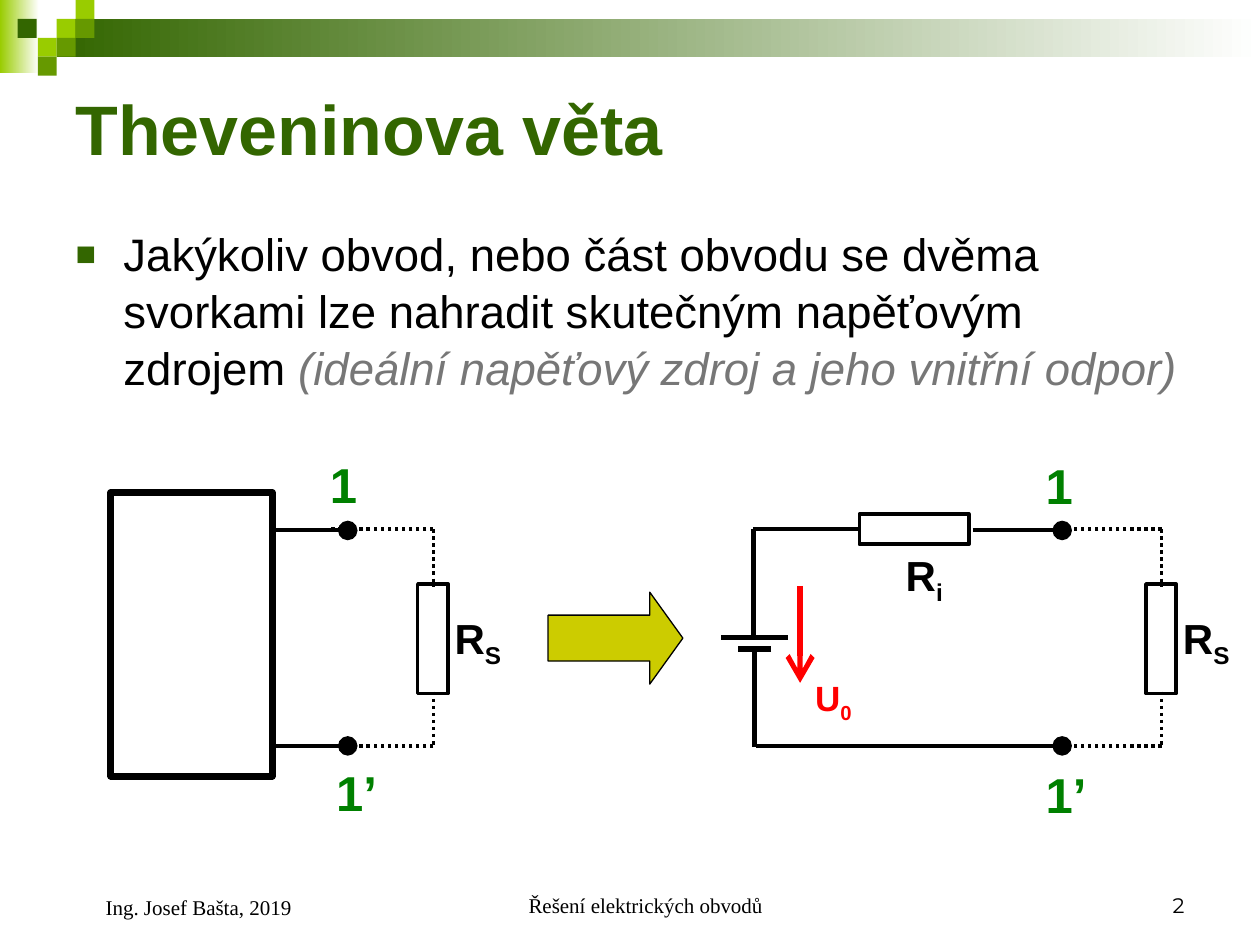
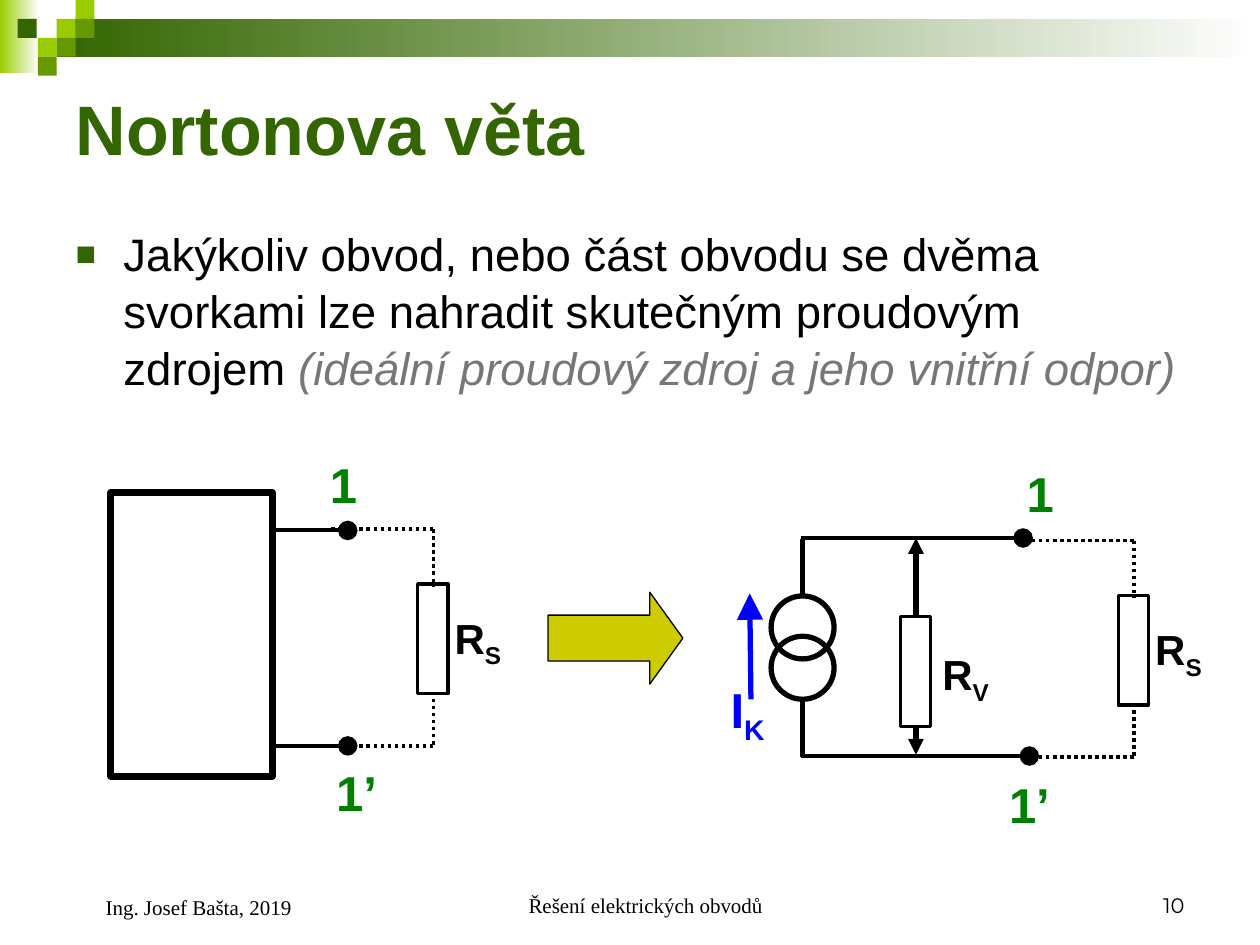
from dataclasses import dataclass

from lxml import etree
from pptx import Presentation
from pptx import util as u
from pptx.dml.color import RGBColor
from pptx.enum import dml, shapes, text
from pptx.oxml import ns

PX = 9144  # EMU in one px, 100 px to the inch

BLACK = RGBColor(0x00, 0x00, 0x00)
WHITE = RGBColor(0xFF, 0xFF, 0xFF)
GREY = RGBColor(0x77, 0x77, 0x77)
DARK_GREEN = RGBColor(0x33, 0x66, 0x00)
MID_GREEN = RGBColor(0x66, 0x99, 0x00)
LIME = RGBColor(0x99, 0xCC, 0x00)
TERMINAL_GREEN = RGBColor(0x00, 0x80, 0x00)
OLIVE = RGBColor(0xCC, 0xCC, 0x00)
RED = RGBColor(0xFF, 0x00, 0x00)
BLUE = RGBColor(0x00, 0x00, 0xFF)

RECTANGLE = shapes.MSO_SHAPE.RECTANGLE
ELLIPSE = shapes.MSO_SHAPE.OVAL
DOTTED = dml.MSO_LINE.ROUND_DOT


@dataclass(frozen=True)
class Box:
    left: int
    top: int
    width: int
    height: int

    def emu(self) -> tuple[int, ...]:
        return tuple(v * PX for v in (self.left, self.top, self.width, self.height))


@dataclass(frozen=True)
class Wire:
    """A straight line; tail is the end mark (kind, size) at (x2, y2)."""
    x1: int
    y1: int
    x2: int
    y2: int
    width: float = 3
    color: RGBColor = BLACK
    dash: dml.MSO_LINE | None = None
    tail: tuple[str, str] | None = None


@dataclass(frozen=True)
class Label:
    text: str
    subscript: str
    box: Box
    size: int = 24
    color: RGBColor = BLACK


@dataclass(frozen=True)
class Outline:
    box: Box
    kind: shapes.MSO_SHAPE = RECTANGLE
    width: float = 2
    rotation: int = 0


DOT = ("oval", "lg")
RESISTOR_LENGTH, RESISTOR_THICKNESS = 87, 24

TITLE_BOX = Box(50, 50, 900, 103)
BODY_BOX = Box(50, 173, 900, 165)
SQUARE = 15
SQUARES = (
    (45, 15, LIME), (60, 0, LIME), (60, 15, MID_GREEN), (30, 30, LIME),
    (14, 15, DARK_GREEN), (45, 30, MID_GREEN), (30, 45, MID_GREEN),
)
BANDS = ((Box(0, 0, 31, 58), LIME), (Box(45, 15, 955, 30), DARK_GREEN))


def add_run(paragraph, content: str, *, size: int, color: RGBColor = BLACK,
            font: str = "Arial", bold: bool = False, italic: bool = False,
            subscript: bool = False) -> None:
    run = paragraph.add_run()
    run.text = content
    run.font.size = u.Pt(size)
    run.font.name = font
    run.font.bold = bold
    run.font.italic = italic
    run.font.color.rgb = color
    if subscript:
        run._r.get_or_add_rPr().set("baseline", "-25000")


def add_text_box(slide, box: Box, anchor=text.MSO_ANCHOR.TOP):
    """Add an empty wrapping text box and return its first paragraph."""
    frame = slide.shapes.add_textbox(*box.emu()).text_frame
    frame.word_wrap = True
    frame.vertical_anchor = anchor
    return frame.paragraphs[0]


def add_figure(slide, kind: shapes.MSO_SHAPE, box: Box, fill: RGBColor | None = None,
               line_width: float = 0):
    shape = slide.shapes.add_shape(kind, *box.emu())
    shape.shadow.inherit = False
    if fill is None:
        shape.fill.background()
    else:
        shape.fill.solid()
        shape.fill.fore_color.rgb = fill
    if line_width:
        shape.line.color.rgb = BLACK
        shape.line.width = u.Pt(line_width)
    else:
        shape.line.fill.background()
    return shape


def draw_wire(slide, wire: Wire) -> None:
    ends = (v * PX for v in (wire.x1, wire.y1, wire.x2, wire.y2))
    connector = slide.shapes.add_connector(shapes.MSO_CONNECTOR.STRAIGHT, *ends)
    connector.line.color.rgb = wire.color
    connector.line.width = u.Pt(wire.width)
    if wire.dash is not None:
        connector.line.dash_style = wire.dash
    properties = connector.element.spPr
    if wire.tail:
        kind, size = wire.tail
        etree.SubElement(properties.find(ns.qn("a:ln")), ns.qn("a:tailEnd"),
                         type=kind, w=size, len=size)
    etree.SubElement(properties, ns.qn("a:effectLst"))


def draw_label(slide, label: Label) -> None:
    paragraph = add_text_box(slide, label.box)
    add_run(paragraph, label.text, size=label.size, color=label.color, bold=True)
    if label.subscript:
        add_run(paragraph, label.subscript, size=label.size, color=label.color,
                bold=True, subscript=True)


def draw_outline(slide, outline: Outline) -> None:
    shape = add_figure(slide, outline.kind, outline.box, line_width=outline.width)
    shape.rotation = outline.rotation


def draw_parts(slide, parts) -> None:
    draw = {Wire: draw_wire, Label: draw_label, Outline: draw_outline}
    for part in parts:
        draw[type(part)](slide, part)


def upright_resistor(left: int, top: int) -> Outline:
    return Outline(Box(left, top, RESISTOR_LENGTH, RESISTOR_THICKNESS), rotation=90)


def terminal(name: str, left: int, top: int, width: int) -> Label:
    return Label(name, "", Box(left, top, width, 57), 28, TERMINAL_GREEN)


def load_branch(x: int, top: int) -> list:
    """Dotted branch with the load resistor RS, its vertical line at x."""
    bottom = top + 172
    dotted = ((x, top, x - 82, top), (x, bottom, x - 82, bottom),
              (x, top, x, top + 45), (x, top + 129, x, bottom))
    return [
        upright_resistor(x - 44, top + 75),
        Label("R", "S", Box(x + 7, top + 61, 71, 56)),
        *(Wire(*ends, width=2, dash=DOTTED) for ends in dotted),
    ]


GENERAL_CIRCUIT = [
    Outline(Box(88, 391, 128, 225), width=4),
    Wire(214, 592, 276, 592, 2.25, tail=DOT),
    Wire(217, 421, 276, 421, 2.25, tail=DOT),
    terminal("1", 252, 356, 53),
    terminal("1’", 257, 600, 57),
    *load_branch(344, 420),
]

VOLTAGE_SOURCE = [
    Wire(599, 593, 599, 514),
    Wire(598, 506, 598, 420),
    Wire(635, 465, 635, 542, color=RED, tail=("arrow", "lg")),
    Label("U", "0", Box(637, 532, 62, 48), 20, RED),
    Wire(625, 506, 572, 506),
    Wire(612, 515, 586, 515),
    Outline(Box(682, 408, RESISTOR_LENGTH, RESISTOR_THICKNESS)),
    Wire(681, 420, 598, 420, 2),
    Wire(600, 592, 843, 592, 2.25, tail=DOT),
    Wire(772, 421, 843, 421, 2.25, tail=DOT),
    Label("R", "i", Box(709, 431, 70, 56)),
    terminal("1", 820, 357, 52),
    terminal("1’", 820, 602, 55),
    *load_branch(922, 420),
]

CURRENT_SOURCE = [
    Label("R", "V", Box(738, 510, 71, 56)),
    Wire(727, 575, 727, 599, tail=("triangle", "med")),
    upright_resistor(683, 521),
    Wire(636, 600, 817, 600, 2.25, tail=DOT),
    *load_branch(900, 429),
    *(Outline(Box(612, top, 50, 50), ELLIPSE, 3) for top in (473, 505)),
    Wire(637, 601, 637, 553),
    Wire(637, 473, 637, 428),
    Wire(636, 427, 812, 427, 2.25, tail=DOT),
    Wire(727, 489, 727, 427, tail=("triangle", "med")),
    terminal("1", 805, 363, 68),
    terminal("1’", 791, 610, 55),
    Wire(596, 555, 595, 471, color=BLUE, tail=("triangle", "lg")),
    Label("I", "K", Box(570, 534, 68, 63), 28, BLUE),
]


def move_to(shape, box: Box) -> None:
    shape.left, shape.top, shape.width, shape.height = box.emu()


def fill_title(slide, title: str) -> None:
    shape = slide.shapes.title
    move_to(shape, TITLE_BOX)
    frame = shape.text_frame
    frame.auto_size = text.MSO_AUTO_SIZE.NONE
    frame.vertical_anchor = text.MSO_ANCHOR.MIDDLE
    paragraph = frame.paragraphs[0]
    paragraph.alignment = text.PP_ALIGN.LEFT
    add_run(paragraph, title, size=40, color=DARK_GREEN, bold=True)


def fill_body(slide, kind: str) -> None:
    """State the theorem for a source of the given kind (stem of the adjective)."""
    shape = slide.placeholders[1]
    move_to(shape, BODY_BOX)
    shape.text_frame.auto_size = text.MSO_AUTO_SIZE.NONE
    paragraph = shape.text_frame.paragraphs[0]
    properties = paragraph._p.get_or_add_pPr()
    properties.set("marL", str(38 * PX))
    properties.set("indent", str(-38 * PX))
    bullet_color = etree.SubElement(properties, ns.qn("a:buClr"))
    etree.SubElement(bullet_color, ns.qn("a:srgbClr"), val=str(DARK_GREEN))
    etree.SubElement(properties, ns.qn("a:buSzPct"), val="75000")
    etree.SubElement(properties, ns.qn("a:buFont"), typeface="Arial")
    etree.SubElement(properties, ns.qn("a:buChar"), char="■")
    paragraph.space_before = u.Pt(0)
    paragraph.line_spacing = 1.04
    add_run(paragraph, "Jakýkoliv obvod, nebo část obvodu se dvěma svorkami lze "
            f"nahradit skutečným {kind}ovým zdrojem ", size=26)
    add_run(paragraph, f"(ideální {kind}ový zdroj a jeho vnitřní odpor)",
            size=26, color=GREY, italic=True)


def add_footers(slide, number: int) -> None:
    serif = "Times New Roman"
    align = text.PP_ALIGN
    footers = (
        ("Řešení elektrických obvodů", Box(342, 683, 317, 50), align.CENTER, serif, 24),
        (str(number), Box(717, 683, 233, 50), align.RIGHT, "Montserrat", 0),
        ("Ing. Josef Bašta, 2019", Box(50, 683, 233, 52), align.LEFT, serif, 24),
    )
    for content, box, alignment, font, indent in footers:
        paragraph = add_text_box(slide, box, text.MSO_ANCHOR.BOTTOM)
        paragraph.alignment = alignment
        paragraph._p.get_or_add_pPr().set("marL", str(indent * PX))
        add_run(paragraph, content, size=12, font=font)


def decorate_master(slide) -> None:
    """Draw the bands and squares, then hand them to the slide master."""
    decorations = []
    for box, color in BANDS:
        band = add_figure(slide, RECTANGLE, box)
        band.fill.gradient()
        band.fill.gradient_angle = 0
        for stop, stop_color in zip(band.fill.gradient_stops, (color, WHITE)):
            stop.color.rgb = stop_color
        decorations.append(band)
    for left, top, color in SQUARES:
        decorations.append(add_figure(slide, RECTANGLE, Box(left, top, SQUARE, SQUARE), color))
    master = slide.slide_layout.slide_master
    for shape in decorations:
        master.shapes.element.append(shape.element)


def add_theorem_slide(presentation, title: str, kind: str, number: int, source: list):
    slide = presentation.slides.add_slide(presentation.slide_layouts[1])
    fill_title(slide, title)
    fill_body(slide, kind)
    arrow = add_figure(slide, shapes.MSO_SHAPE.RIGHT_ARROW, Box(435, 470, 107, 73), OLIVE, 0.75)
    arrow.adjustments[0], arrow.adjustments[1] = 0.5, 0.36
    draw_parts(slide, GENERAL_CIRCUIT + source)
    add_footers(slide, number)
    return slide


def main() -> None:
    presentation = Presentation()
    presentation.slide_width, presentation.slide_height = 1000 * PX, 750 * PX
    first = add_theorem_slide(presentation, "Theveninova věta", "napěť", 2, VOLTAGE_SOURCE)
    add_theorem_slide(presentation, "Nortonova věta", "proud", 10, CURRENT_SOURCE)
    decorate_master(first)
    presentation.save("out.pptx")


if __name__ == "__main__":
    main()
